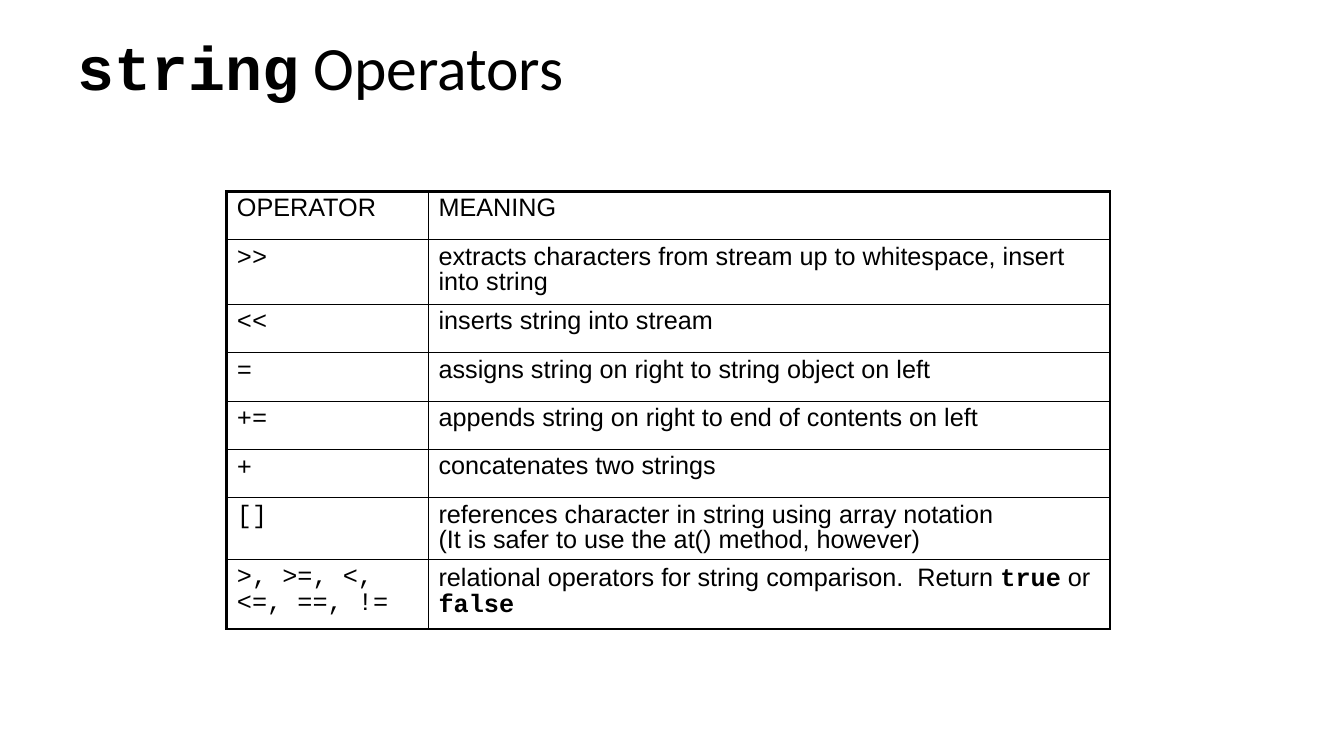
from lxml.etree import SubElement
from pptx import Presentation
from pptx.dml.color import RGBColor
from pptx.enum.text import MSO_ANCHOR, MSO_AUTO_SIZE, PP_ALIGN
from pptx.oxml.ns import qn
from pptx.util import Inches, Pt

SLIDE_W, SLIDE_H = 13.33, 7.5
BLACK = RGBColor(0, 0, 0)
THIN, THICK = 1, 2.25

SANS = {"name": "Arial", "size": Pt(18), "bold": False}
CODE = {**SANS, "name": "Courier New"}
KEYWORD = {**CODE, "bold": True}
TITLE_CODE = {**KEYWORD, "size": Pt(44)}
TITLE_TEXT = {"name": "Calibri", "size": Pt(44), "bold": False}

COL_WIDTHS = [2, 6.76]
ROW_HEIGHTS = [0.48, 0.64, 0.48, 0.48, 0.48, 0.48, 0.61, 0.69]


def sans(text):
    return [[(text, SANS)]]


def code(*lines):
    return [[(line, CODE)] for line in lines]


# Each cell is a list of paragraphs, each a list of (text, format) runs.
ROWS = [
    (sans("OPERATOR"), sans("MEANING")),
    (code(">>"), sans("extracts characters from stream up to whitespace, insert into string")),
    (code("<<"), sans("inserts string into stream")),
    (code("="), sans("assigns string on right to string object on left")),
    (code("+="), sans("appends string on right to end of contents on left")),
    (code("+"), sans("concatenates two strings")),
    (code("[]"), sans("references character in string using array notation\n"
                      "(It is safer to use the at() method, however)")),
    (code(">, >=, <,", "<=, ==, !="),
     [[("relational operators for string comparison.  Return ", SANS),
       ("true", KEYWORD), (" or ", SANS), ("false", KEYWORD)]]),
]


def write(tf, paragraphs):
    for i, runs in enumerate(paragraphs):
        p = tf.add_paragraph() if i else tf.paragraphs[0]
        p.alignment, p.line_spacing = PP_ALIGN.LEFT, 0.9
        for text, fmt in runs:
            for n, line in enumerate(text.split("\n")):
                if n:
                    p.add_line_break()
                r = p.add_run()
                r.text = line
                for key, value in fmt.items():
                    setattr(r.font, key, value)
                r.font.color.rgb = BLACK


def set_borders(cell, widths):
    """Draw solid borders from a dict of side letter (L, R, T, B) to points."""
    tc_pr = cell._tc.get_or_add_tcPr()
    for side, width in widths.items():
        ln = SubElement(tc_pr, qn(f"a:ln{side}"), w=str(Pt(width)))
        fill = SubElement(ln, qn("a:solidFill"))
        SubElement(fill, qn("a:srgbClr"), val=str(BLACK))


def add_title(slide):
    sp = slide.shapes.title
    sp.left, sp.top = Inches(SLIDE_W * 0.05), Inches(0.08)
    sp.width, sp.height = Inches(SLIDE_W * 5 / 6), Inches(1.25)
    tf = sp.text_frame
    tf.auto_size, tf.vertical_anchor = MSO_AUTO_SIZE.NONE, MSO_ANCHOR.MIDDLE
    write(tf, [[("string", TITLE_CODE), (" Operators", TITLE_TEXT)]])


def add_operator_table(slide):
    n_rows, n_cols = len(ROWS), len(COL_WIDTHS)
    table = slide.shapes.add_table(
        n_rows, n_cols, Inches(2.25), Inches(1.9),
        Inches(sum(COL_WIDTHS)), Inches(sum(ROW_HEIGHTS))).table
    table.first_row = table.horz_banding = False
    for column, width in zip(table.columns, COL_WIDTHS):
        column.width = Inches(width)
    for i, (row, height) in enumerate(zip(table.rows, ROW_HEIGHTS)):
        row.height = Inches(height)
        for j, cell in enumerate(row.cells):
            outer = {"L": j == 0, "R": j == n_cols - 1,
                     "T": i == 0, "B": i == n_rows - 1}
            set_borders(cell, {side: THICK if edge else THIN
                               for side, edge in outer.items()})
            cell.fill.background()
            write(cell.text_frame, ROWS[i][j])


def main():
    prs = Presentation()
    prs.slide_width, prs.slide_height = Inches(SLIDE_W), Inches(SLIDE_H)
    slide = prs.slides.add_slide(prs.slide_layouts.get_by_name("Title Only"))
    add_title(slide)
    add_operator_table(slide)
    prs.save("out.pptx")


if __name__ == "__main__":
    main()
